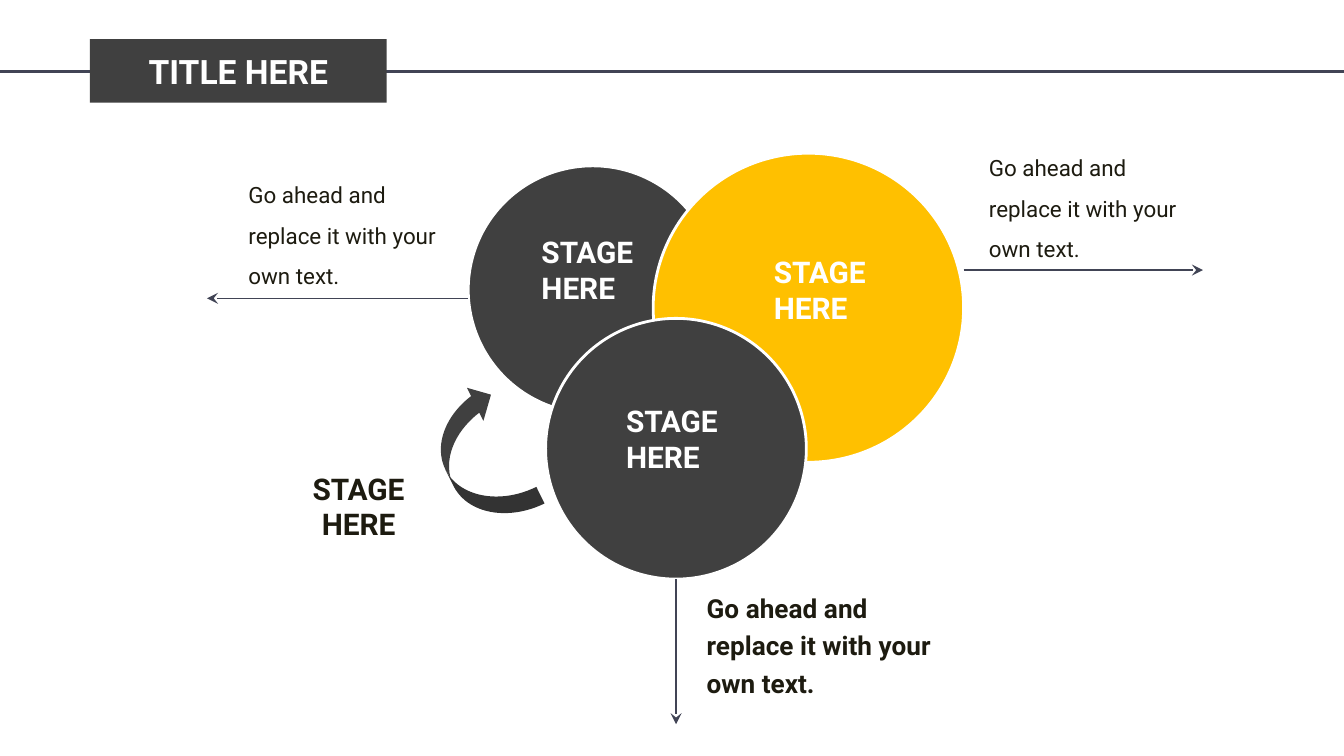
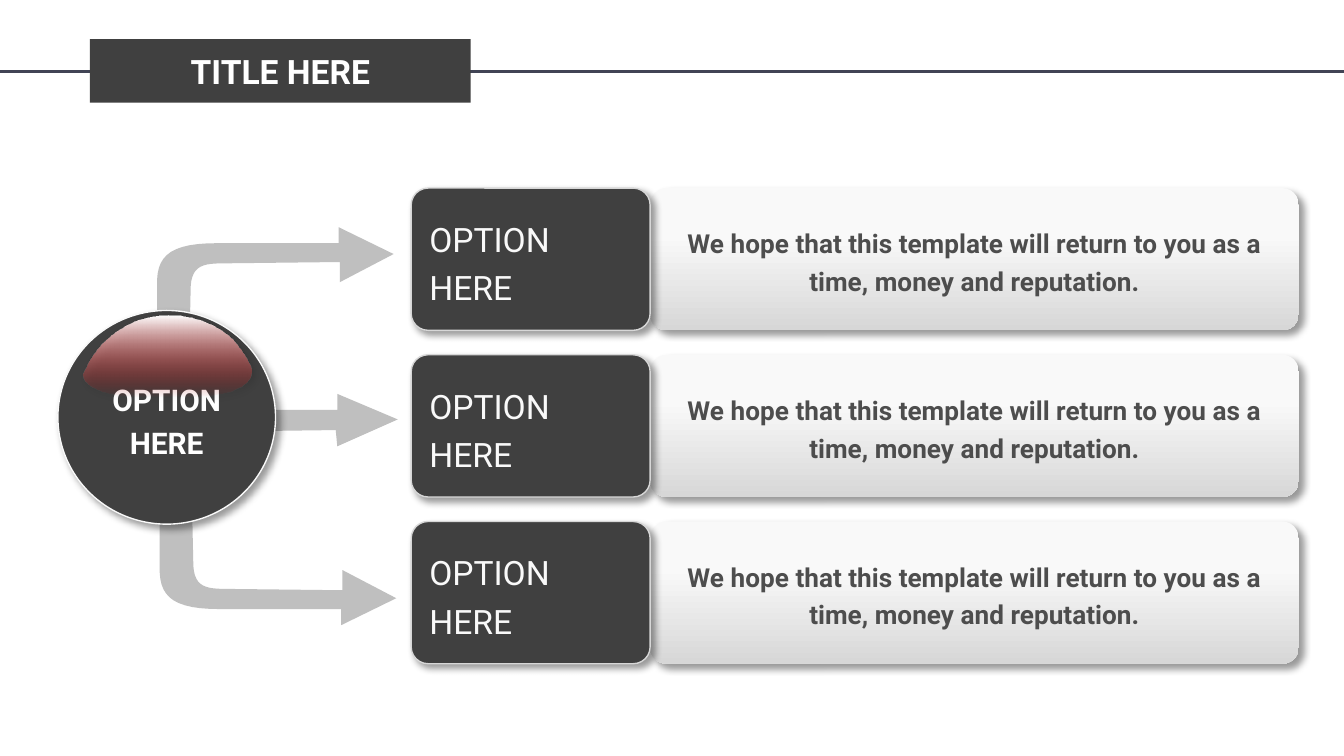
import collections

import lxml.etree
import pptx
import pptx.dml.color
import pptx.enum.shapes
import pptx.enum.text
import pptx.oxml.ns
import pptx.util

Pt = pptx.util.Pt
RGBColor = pptx.dml.color.RGBColor
SHAPE = pptx.enum.shapes.MSO_SHAPE
ALIGN = pptx.enum.text.PP_ALIGN
ANCHOR = pptx.enum.text.MSO_ANCHOR
qn = pptx.oxml.ns.qn

# Shared look
FONT = "Roboto"
DARK = RGBColor(0x40, 0x40, 0x40)
LINE = RGBColor(0x41, 0x44, 0x55)
WHITE = RGBColor(0xFF, 0xFF, 0xFF)
AMBER = RGBColor(0xFF, 0xC0, 0x00)
INK = RGBColor(0x1D, 0x1B, 0x10)
GREY_TEXT = RGBColor(0x4D, 0x4D, 0x4D)
ARROW_GREY = RGBColor(0xBF, 0xBF, 0xBF)
PALE = RGBColor(0xF9, 0xF9, 0xF9)
SILVER = RGBColor(0xD7, 0xD7, 0xD7)
RED = RGBColor(0xFF, 0x00, 0x00)
BLACK = RGBColor(0x00, 0x00, 0x00)

WIDTH, HEIGHT = 720, 405
NOTE = "Go ahead and replace it with your own text."
PROMISE = ("We hope that this template will return to you as a "
           "time, money and reputation.")


class Box(collections.namedtuple("Box", "left top width height")):
    """A region in points."""

    def inner(self, left, top, width, height):
        return Box(self.left + left, self.top + top, width, height)

    def lengths(self):
        return [Pt(value) for value in self]


# Drawing helpers
def write_text(shape, text, size=16, color=WHITE, bold=False,
               align=ALIGN.LEFT, spacing=1.0, anchor=ANCHOR.MIDDLE):
    frame = shape.text_frame
    frame.word_wrap = True
    frame.auto_size = pptx.enum.text.MSO_AUTO_SIZE.NONE
    frame.vertical_anchor = anchor
    frame.margin_left = frame.margin_right = Pt(7.2)
    frame.margin_top = frame.margin_bottom = Pt(3.6)
    paragraph = frame.paragraphs[0]
    paragraph.alignment = align
    paragraph.line_spacing = spacing
    run = paragraph.add_run()
    run.text = text
    run.font.name = FONT
    run.font.size = Pt(size)
    run.font.bold = bold
    run.font.color.rgb = color


def add_label(slide, box, text, **text_format):
    label = slide.shapes.add_textbox(*box.lengths())
    write_text(label, text, anchor=ANCHOR.TOP, **text_format)


def add_color(parent, color, alpha=None):
    element = lxml.etree.SubElement(parent, qn("a:srgbClr"), val=str(color))
    if alpha is not None:
        lxml.etree.SubElement(element, qn("a:alpha"), val=str(alpha * 1000))


def set_gradient(shape, stops):
    """Fill from top to bottom with (percent, color, alpha) stops."""
    shape.fill.gradient()
    shape.fill.gradient_angle = 270
    stop_list = shape.element.spPr.find(".//" + qn("a:gsLst"))
    for stop in list(stop_list):
        stop_list.remove(stop)
    for percent, color, alpha in stops:
        stop = lxml.etree.SubElement(stop_list, qn("a:gs"), pos=str(percent * 1000))
        add_color(stop, color, alpha)


def style_shape(shape, fill=None, line=None, line_width=0.75, shadow=False):
    if fill is not None:
        shape.fill.solid()
        shape.fill.fore_color.rgb = fill
    if line is None:
        shape.line.fill.background()
    else:
        shape.line.color.rgb = line
        shape.line.width = Pt(line_width)
    shape.shadow.inherit = False
    if shadow:
        effects = shape.element.spPr.find(qn("a:effectLst"))
        outer = lxml.etree.SubElement(
            effects, qn("a:outerShdw"), blurRad=str(Pt(4)), dist=str(Pt(3)),
            dir=str(45 * 60000), algn="tl", rotWithShape="0")
        add_color(outer, BLACK, 40)


def add_shape(shapes, kind, box, adjustment=None, **style):
    shape = shapes.add_shape(kind, *box.lengths())
    if adjustment is not None:
        shape.adjustments[0] = adjustment
    style_shape(shape, **style)
    return shape


def add_line(slide, start, end, width=0.75, arrow=False):
    line = slide.shapes.add_connector(
        pptx.enum.shapes.MSO_CONNECTOR.STRAIGHT,
        *[Pt(value) for value in (*start, *end)])
    line.line.color.rgb = LINE
    line.line.width = Pt(width)
    if arrow:
        lxml.etree.SubElement(line.line._get_or_add_ln(), qn("a:tailEnd"), type="stealth")
    lxml.etree.SubElement(line.element.spPr, qn("a:effectLst"))


def add_outline(shapes, box, segments, flip=False):
    """Draw a closed outline; six-number segments are Bézier curves."""
    points = []
    for segment in segments:
        if len(segment) == 2:
            points.append(segment)
            continue
        (x0, y0), (x1, y1, x2, y2, x3, y3) = points[-1], segment
        for step in range(1, 13):
            t = step / 12
            a, b, c, d = (1 - t) ** 3, 3 * t * (1 - t) ** 2, 3 * t * t * (1 - t), t ** 3
            points.append((a * x0 + b * x1 + c * x2 + d * x3,
                           a * y0 + b * y1 + c * y2 + d * y3))
    placed = [(Pt(box.left + x), Pt(box.top + (box.height - y if flip else y)))
              for x, y in points]
    builder = shapes.build_freeform(*placed[0], scale=1.0)
    builder.add_line_segments(placed[1:], close=True)
    return builder.convert_to_shape()


# Title band
def add_titled_slide(presentation, title_width):
    slide = presentation.slides.add_slide(presentation.slide_layouts[5])
    add_line(slide, (0, 38.2), (WIDTH, 38.2), width=1.5)
    title = slide.shapes.title
    title.left, title.top, title.width, title.height = Box(
        48.2, 21, title_width, 34).lengths()
    geometry = lxml.etree.SubElement(title.element.spPr, qn("a:prstGeom"), prst="roundRect")
    guides = lxml.etree.SubElement(geometry, qn("a:avLst"))
    lxml.etree.SubElement(guides, qn("a:gd"), name="adj", fmla="val 16667")
    title.fill.solid()
    title.fill.fore_color.rgb = DARK
    write_text(title, "TITLE HERE", size=18, bold=True, align=ALIGN.CENTER)
    title.element.getparent().append(title.element)  # in front of the line
    return slide


# Slide 1: overlapping stages
def add_stages(slide, box):
    circles = [
        (140.6, 16.6, 133.9, 133.2, DARK, 2),
        (239.9, 10.1, 166.3, 165.6, AMBER, 1.5),
        (182.3, 98.6, 139.7, 139.7, DARK, 1.5),
    ]
    for *place, color, line_width in circles:
        add_shape(slide.shapes, SHAPE.OVAL, box.inner(*place),
                  fill=color, line=WHITE, line_width=line_width)
    for left, top in [(173, 49.7), (297.5, 60.5), (218.3, 140.4)]:
        add_label(slide, box.inner(left, top, 69, 46), "STAGE HERE", bold=True)

    arrows = [
        (406.2, 72.7, 534.4, 72.7),
        (252.2, 238.3, 252.2, 316),
        (140.6, 87.8, 0.9, 87.8),
    ]
    for x1, y1, x2, y2 in arrows:
        add_line(slide, (box.left + x1, box.top + y1),
                 (box.left + x2, box.top + y2), arrow=True)

    for left, top in [(412.7, 0), (16, 14.4)]:
        add_label(slide, box.inner(left, top, 121.7, 72.7), NOTE,
                  size=12, color=INK, spacing=1.5)
    add_label(slide, box.inner(261.5, 238.3, 141.8, 68.4), NOTE,
              size=14, color=INK, bold=True, spacing=1.2)

    swoosh = add_shape(slide.shapes, SHAPE.CURVED_LEFT_ARROW,
                       box.inner(127.6, 135.4, 39.6, 74.9), fill=DARK)
    swoosh.rotation = 153.8
    add_label(slide, box.inner(29.6, 176.4, 105, 26.6), "STAGE HERE",
              color=INK, bold=True, align=ALIGN.CENTER)


# Slide 2: arrows, source ball and option rows
BENT_ARROW = [
    (16.6, 98), (18, 31.7), (18.7, 20.2, 25.2, 19.4, 36, 19.4),
    (97.9, 18.7), (97.9, 29.5), (126.7, 14.4), (97.2, 0), (97.2, 8.6),
    (32.4, 8.6), (8.6, 8.6, 0.7, 14.4, 0, 28), (0, 99.4),
    (2.9, 110.9, 13, 109.4, 16.6, 98),
]
STRAIGHT_ARROW = [
    (0.7, 20.9), (118, 19.4), (118.8, 28.1), (151.2, 13.7),
    (118.8, 0), (118.8, 8.6), (0, 8.6),
]
GLOSS = [
    (0, 31), (3, 22.3, 17, 0, 45.4, 0), (73.4, 0, 85, 16.6, 90, 28.8),
    (90, 39.6, 72, 43.2, 54, 43.2), (32.4, 43.2),
    (16.6, 43.2, 0, 39.6, 0, 31),
]


def add_arrows(slide, box):
    outlines = [
        (box.inner(1.4, 102.2, 126.7, 111), BENT_ARROW, True),
        (box.inner(-22.3, 89.3, 151.2, 28.1), STRAIGHT_ARROW, False),
        (box.inner(0, 0, 126.7, 111), BENT_ARROW, False),
    ]
    for place, outline, flip in outlines:
        style_shape(add_outline(slide.shapes, place, outline, flip), fill=ARROW_GREY)


def add_ball(slide, box):
    group = slide.shapes.add_group_shape()
    ball = add_shape(group.shapes, SHAPE.OVAL, box, fill=DARK, line=PALE, shadow=True)
    write_text(ball, "OPTION HERE", bold=True, align=ALIGN.CENTER, spacing=1.2)
    gloss = add_outline(group.shapes, box.inner(13.7, 2.9, 90, 43.2), GLOSS)
    set_gradient(gloss, [(0, WHITE, None), (100, RED, 0)])
    style_shape(gloss, shadow=True)


def add_option_row(slide, box, option_width=128):
    panel = add_shape(slide.shapes, SHAPE.ROUNDED_RECTANGLE,
                      box.inner(option_width, 0, box.width - option_width, box.height),
                      adjustment=0.115, shadow=True)
    set_gradient(panel, [(0, PALE, None), (33, PALE, None), (100, SILVER, None)])
    write_text(panel, PROMISE, size=14, color=GREY_TEXT, bold=True,
               align=ALIGN.CENTER, spacing=1.2)
    option = add_shape(slide.shapes, SHAPE.ROUNDED_RECTANGLE,
                       box.inner(0, 0, option_width, box.height),
                       adjustment=0.119, fill=DARK, line=SILVER, shadow=True)
    write_text(option, "OPTION HERE", size=18, color=PALE, spacing=1.2)


def main():
    presentation = pptx.Presentation()
    presentation.slide_width, presentation.slide_height = Pt(WIDTH), Pt(HEIGHT)

    stages = add_titled_slide(presentation, 159)
    add_stages(stages, Box(110, 72, 540, 320))

    options = add_titled_slide(presentation, 204)
    add_arrows(options, Box(84.2, 121.7, 128, 213))
    for row in range(3):
        add_option_row(options, Box(220.3, 100.8 + 89.3 * row, 475.5, 76.2))
    add_ball(options, Box(31, 166.3, 116.6, 114.5))

    presentation.save("out.pptx")


if __name__ == "__main__":
    main()
